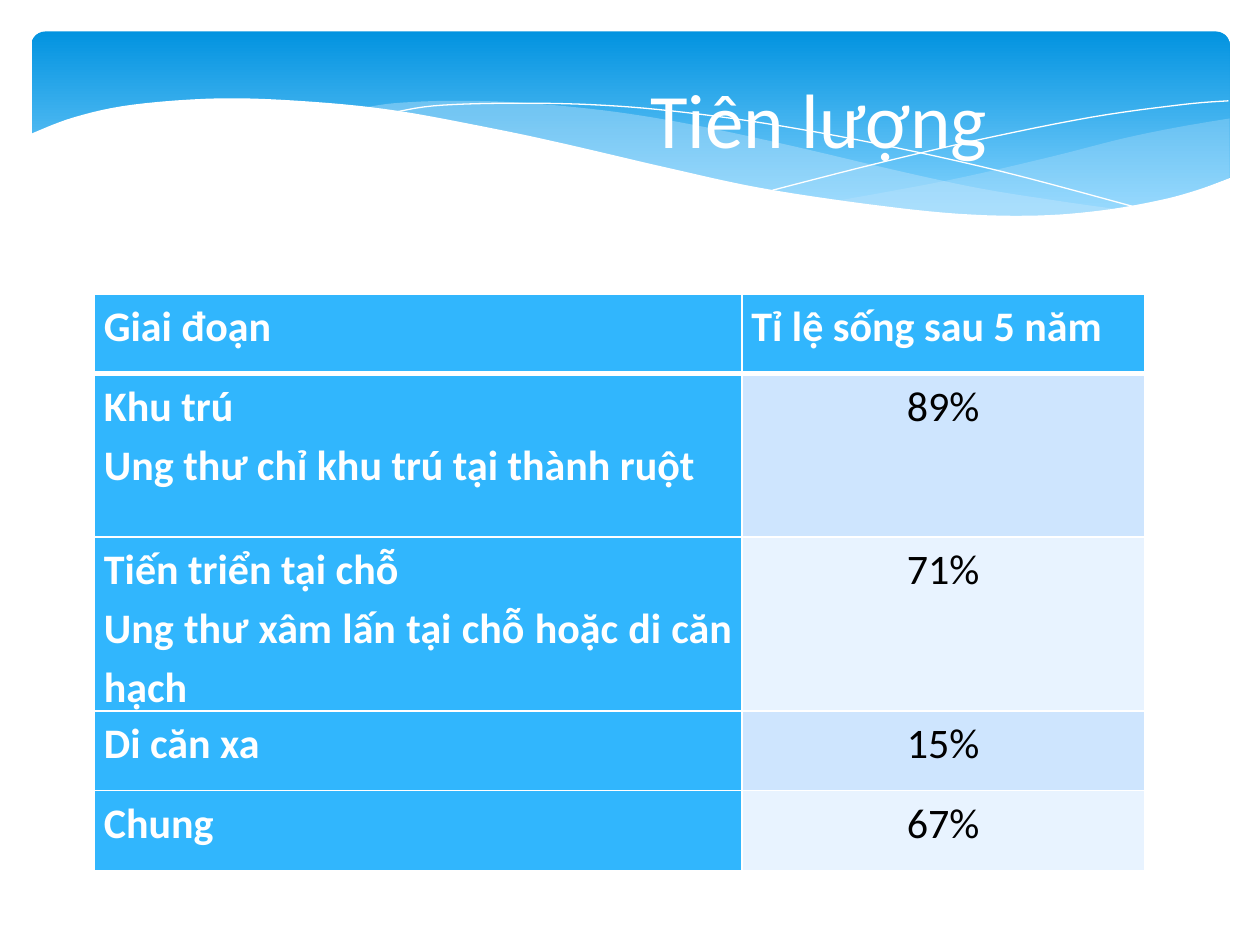
from dataclasses import dataclass

from lxml import etree
from pptx import Presentation
from pptx.dml.color import RGBColor
from pptx.enum.shapes import MSO_SHAPE
from pptx.enum.text import MSO_ANCHOR, PP_ALIGN
from pptx.oxml.ns import qn
from pptx.util import Pt

ROUND_RECT = MSO_SHAPE.ROUNDED_RECTANGLE
MIDDLE = MSO_ANCHOR.MIDDLE
CENTER, JUSTIFY = PP_ALIGN.CENTER, PP_ALIGN.JUSTIFY


@dataclass(frozen=True)
class Theme:
    font: str = "Calibri"
    title_size: float = 44
    table_size: float = 24
    white: str = "FFFFFF"
    black: str = "000000"
    sky_top: str = "0293E0"
    sky_bottom: str = "83D3FE"
    mist: str = "C6E7FC"
    accent: str = "31B6FD"
    bands: tuple = ("CEE5FE", "E8F3FF")
    hairline: float = 0
    border: float = 1
    header_rule: float = 3


def rgb(color):
    return RGBColor.from_string(color)


def smooth(knots, steps=6):
    """Return points on a Catmull-Rom curve through the knots."""
    padded = [knots[0], *knots, knots[-1]]
    points = [knots[0]]
    for a, b, c, d in zip(padded, padded[1:], padded[2:], padded[3:]):
        for i in range(1, steps + 1):
            t = i / steps
            points.append(tuple(
                (2 * q + (r - p) * t + (2 * p - 5 * q + 4 * r - s) * t**2
                 + (3 * q - p - 3 * r + s) * t**3) / 2
                for p, q, r, s in zip(a, b, c, d)))
    return points


class SlideBuilder:
    def __init__(self, slide, theme):
        self.slide = slide
        self.theme = theme

    def style(self, p, size, color, align, bold=False):
        p.alignment = align
        p.font.name = self.theme.font
        p.font.size = Pt(size)
        p.font.bold = bold
        p.font.color.rgb = rgb(color)

    def banner(self, x, y, w, h):
        sp = self.slide.shapes.add_shape(ROUND_RECT, Pt(x), Pt(y), Pt(w), Pt(h))
        sp.shadow.inherit = False
        sp.adjustments[0] = 0.07
        sp.line.fill.background()
        sp.fill.gradient()
        sp.fill.gradient_angle = 270
        colors = (self.theme.sky_top, self.theme.sky_bottom)
        for stop, color, position in zip(sp.fill.gradient_stops, colors, (0, 0.9)):
            stop.color.rgb = rgb(color)
            stop.position = position

    def outline(self, points, close):
        (x, y), *rest = [(Pt(px), Pt(py)) for px, py in points]
        builder = self.slide.shapes.build_freeform(x, y)
        builder.add_line_segments(rest, close=close)
        sp = builder.convert_to_shape()
        sp.shadow.inherit = False
        return sp

    def wave(self, points, color, opacity=100):
        sp = self.outline(points, close=True)
        sp.line.fill.background()
        sp.fill.solid()
        sp.fill.fore_color.rgb = rgb(color)
        if opacity < 100:
            clr = sp.fill._xPr.find(".//" + qn("a:srgbClr"))
            etree.SubElement(clr, qn("a:alpha"), val=str(opacity * 1000))

    def curve(self, knots):
        sp = self.outline(smooth(knots), close=False)
        sp.fill.background()
        sp.line.color.rgb = rgb(self.theme.white)
        sp.line.width = Pt(self.theme.hairline)

    def title(self, text, x, y, w, h):
        tf = self.slide.shapes.add_textbox(Pt(x), Pt(y), Pt(w), Pt(h)).text_frame
        tf.word_wrap = True
        tf.vertical_anchor = MIDDLE
        tf.text = text
        self.style(tf.paragraphs[0], self.theme.title_size, self.theme.white, CENTER)

    def borders(self, cell, top, bottom):
        tc_pr = cell._tc.get_or_add_tcPr()
        side = self.theme.border
        for tag, width in zip(("lnL", "lnR", "lnT", "lnB"), (side, side, top, bottom)):
            ln = etree.SubElement(tc_pr, qn("a:" + tag), w=str(Pt(width)))
            fill = etree.SubElement(ln, qn("a:solidFill"))
            etree.SubElement(fill, qn("a:srgbClr"), val=self.theme.white)

    def cell(self, cell, text, row, col):
        th = self.theme
        is_value = row > 0 and col > 0
        cell.margin_left = cell.margin_right = Pt(5.4)
        cell.margin_top = cell.margin_bottom = Pt(0)
        self.borders(cell,
                     top=th.header_rule if row == 1 else th.border,
                     bottom=th.header_rule if row == 0 else th.border)
        cell.fill.solid()
        cell.fill.fore_color.rgb = rgb(th.bands[(row - 1) % 2] if is_value else th.accent)
        cell.text = text
        for p in cell.text_frame.paragraphs:
            p.line_spacing = 1.15
            if is_value:
                self.style(p, th.table_size, th.black, CENTER)
            else:
                self.style(p, th.table_size, th.white, JUSTIFY, bold=True)

    def table(self, rows, x, y, widths, heights):
        table = self.slide.shapes.add_table(
            len(rows), len(widths), Pt(x), Pt(y), Pt(sum(widths)), Pt(sum(heights))).table
        for column, width in zip(table.columns, widths):
            column.width = Pt(width)
        for row, height in zip(table.rows, heights):
            row.height = Pt(height)
        for i, texts in enumerate(rows):
            for j, text in enumerate(texts):
                self.cell(table.cell(i, j), text, i, j)


RIGHT_TOP = [(702.7, 67.7), (673, 72.7), (641.5, 79.2), (599, 90), (542, 103), (476, 115.2)]
RIGHT_BOTTOM = [(476, 115.2), (507.6, 118.8), (545, 122.4), (586, 123.8), (621.4, 122.4),
                (651.6, 117.4), (678, 111), (702.7, 101.5)]
BAND_TOP = [(643, 120.2), (602.6, 114.5), (558, 107.3), (508.3, 96.5), (453, 83.5),
            (399.6, 72), (352, 64), (302.4, 59), (260, 57.6), (225.4, 59), (206, 62)]
BAND_BOTTOM = [(206, 62), (246, 67.7), (291, 76.3), (353.5, 90.7), (407.5, 103),
               (456.5, 112.3), (500.4, 118.8), (538.6, 122.4), (581, 124.6), (617, 123),
               (643, 120.2)]
FALLING_LINE = [(222.5, 64.8), (247.7, 60.5), (288.7, 59), (337.7, 59.8), (383.8, 63.4),
                (437.8, 70.6), (500.4, 82), (572.4, 98), (653, 119.5)]
RISING_LINE = [(441.4, 108.7), (500.4, 93.6), (558.7, 80), (623.5, 67), (675.4, 59.8),
               (702, 57.6)]
PAGE_EDGE = [(16.5, 77), (42.5, 67), (76.3, 59.8), (127.4, 56.2), (180, 58.3),
             (227.5, 63.4), (281.5, 73.4), (321.8, 82), (381, 95.8), (434, 107.3),
             (495.4, 116.6), (548, 122.2), (592.6, 123.2), (630, 120.2), (662.4, 114.5),
             (684, 108.7), (703.5, 101.5)]
PAGE_CORNERS = [(703.5, 161), (16.5, 161)]

SURVIVAL = [
    ("Giai đoạn", "Tỉ lệ sống sau 5 năm"),
    ("Khu trú\nUng thư chỉ khu trú tại thành ruột", "89%"),
    ("Tiến triển tại chỗ\nUng thư xâm lấn tại chỗ hoặc di căn hạch", "71%"),
    ("Di căn xa", "15%"),
    ("Chung", "67%"),
]


def main():
    prs = Presentation()
    prs.slide_width, prs.slide_height = Pt(720), Pt(540)
    theme = Theme()
    s = SlideBuilder(prs.slides.add_slide(prs.slide_layouts[6]), theme)

    s.banner(18, 18, 684.7, 112.3)
    s.wave(smooth(RIGHT_TOP) + smooth(RIGHT_BOTTOM), theme.mist, opacity=29)
    s.wave(smooth(BAND_TOP) + smooth(BAND_BOTTOM), theme.mist, opacity=40)
    s.curve(FALLING_LINE)
    s.curve(RISING_LINE)
    s.wave(smooth(PAGE_EDGE) + PAGE_CORNERS, theme.white)

    s.title("Tiên lượng", 144, 18, 648, 98.6)
    s.table(SURVIVAL, 54, 168, widths=(370, 230), heights=(45.5, 93.5, 93.5, 45.5, 45.5))
    prs.save("out.pptx")


if __name__ == "__main__":
    main()
